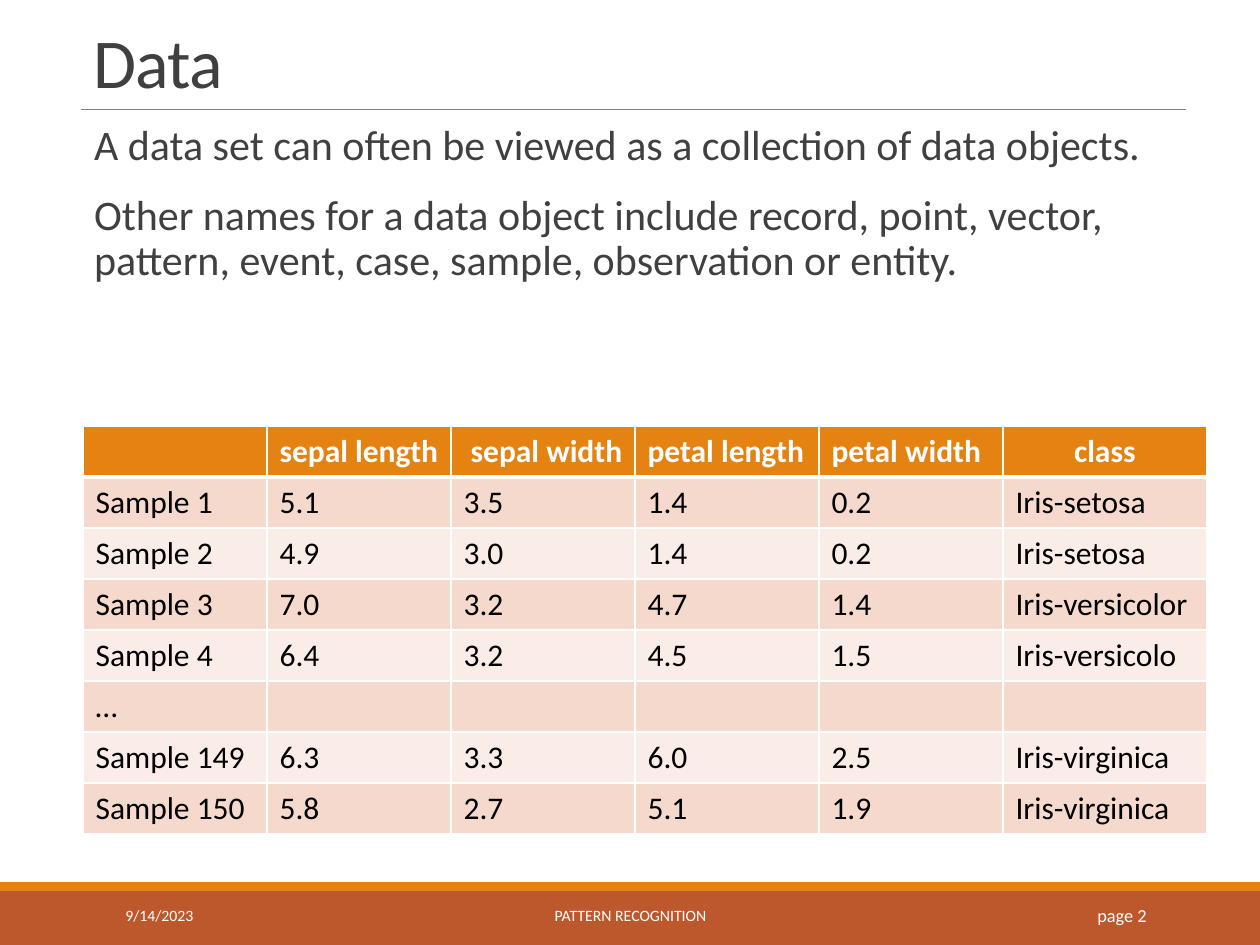
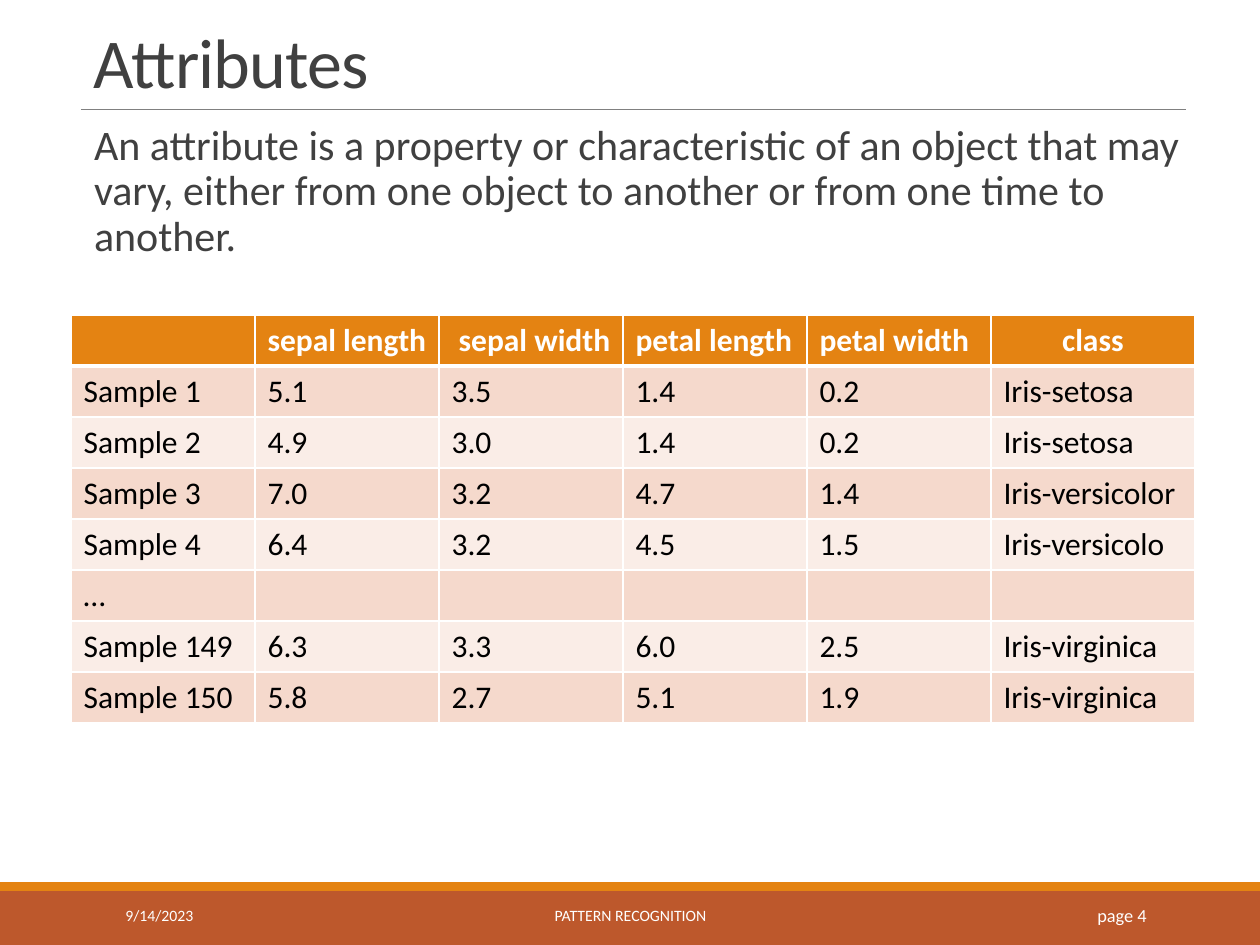
from lxml import etree
from pptx import Presentation
from pptx.dml.color import RGBColor
from pptx.enum.shapes import MSO_CONNECTOR, MSO_SHAPE
from pptx.enum.text import MSO_ANCHOR, PP_ALIGN
from pptx.oxml.ns import qn
from pptx.util import Emu, Pt

LEFT, CENTER, RIGHT = PP_ALIGN.LEFT, PP_ALIGN.CENTER, PP_ALIGN.RIGHT
TOP, MIDDLE, BOTTOM = MSO_ANCHOR.TOP, MSO_ANCHOR.MIDDLE, MSO_ANCHOR.BOTTOM
RECTANGLE, STRAIGHT = MSO_SHAPE.RECTANGLE, MSO_CONNECTOR.STRAIGHT

FONT = "Calibri"
COLORS = {
    "white": "FFFFFF",
    "black": "000000",
    "text": "404040",
    "rule": "808080",
    "orange": "E48312",
    "rust": "BD582C",
    "band_dark": "F5D9CC",
    "band_light": "FAEDE7",
}

IRIS_HEADER = ["", "sepal length", " sepal width", "petal length", "petal width", "class"]
IRIS_SAMPLES = [
    ["Sample 1", "5.1", "3.5", "1.4", "0.2", "Iris-setosa"],
    ["Sample 2", "4.9", "3.0", "1.4", "0.2", "Iris-setosa"],
    ["Sample 3", "7.0", "3.2", "4.7", "1.4", "Iris-versicolor"],
    ["Sample 4", "6.4", "3.2", "4.5", "1.5", "Iris-versicolo"],
    ["…", "", "", "", "", ""],
    ["Sample 149", "6.3", "3.3", "6.0", "2.5", "Iris-virginica"],
    ["Sample 150", "5.8", "2.7", "5.1", "1.9", "Iris-virginica"],
]
SLIDES = [
    {
        "title": "Data",
        "body": [
            "A data set can often be viewed as a collection of data objects.",
            "Other names for a data object include record, point, vector, "
            "pattern, event, case, sample, observation or entity.",
        ],
        "table_at": (83, 426),
        "page": "page 2",
    },
    {
        "title": "Attributes",
        "body": [
            "An attribute is a property or characteristic of an object that may "
            "vary, either from one object to another or from one time to another.",
        ],
        "table_at": (71, 315),
        "page": "page 4",
    },
]
DATE = "9/14/2023"
COURSE = "PATTERN RECOGNITION"

SLIDE_WIDTH, SLIDE_HEIGHT = 1260, 945
CONTENT_LEFT, CONTENT_WIDTH = 81, 1105
RULE_TOP = 109
STRIPE_TOP, FOOTER_TOP = 882, 890
COLUMN_WIDTHS = [184] * 5 + [204]
ROW_HEIGHT = 51


def px(value):
    return Emu(round(value * 914400 / 126))


def color(name):
    return RGBColor.from_string(COLORS[name])


def add_run(paragraph, text, size, color_name, bold=False):
    run = paragraph.add_run()
    run.text = text
    run.font.name = FONT
    run.font.size = Pt(size)
    run.font.bold = bold
    run.font.color.rgb = color(color_name)
    return run


def add_text(slide, box, texts, size, color_name, align=LEFT, anchor=MIDDLE, line_spacing=1):
    frame = slide.shapes.add_textbox(*map(px, box)).text_frame
    frame.word_wrap = True
    frame.vertical_anchor = anchor
    for index, text in enumerate(texts):
        paragraph = frame.add_paragraph() if index else frame.paragraphs[0]
        paragraph.alignment = align
        paragraph.line_spacing = line_spacing
        if index:
            paragraph.space_before = Pt(14)
        add_run(paragraph, text, size, color_name)
    return frame


def add_band(slide, top, height, color_name):
    band = slide.shapes.add_shape(RECTANGLE, 0, px(top), px(SLIDE_WIDTH), px(height))
    band.shadow.inherit = False
    band.fill.solid()
    band.fill.fore_color.rgb = color(color_name)
    band.line.fill.background()


def add_frame(slide, title, page):
    rule = slide.shapes.add_connector(
        STRAIGHT, px(CONTENT_LEFT), px(RULE_TOP), px(CONTENT_LEFT + CONTENT_WIDTH), px(RULE_TOP))
    rule.line.color.rgb = color("rule")
    rule.line.width = Pt(0.5)
    etree.SubElement(rule._element.spPr, qn("a:effectLst"))

    add_band(slide, FOOTER_TOP, SLIDE_HEIGHT - FOOTER_TOP, "rust")
    add_band(slide, STRIPE_TOP, 9, "orange")

    title_frame = add_text(slide, (CONTENT_LEFT, 16, CONTENT_WIDTH, RULE_TOP - 16), [title],
                           40, "text", anchor=BOTTOM, line_spacing=0.85)
    title_frame.paragraphs[0].runs[0].font._element.set("spc", "-50")

    footers = [(113, 256, DATE, 9, LEFT), (381, 499, COURSE, 9, CENTER), (1023, 136, page, 10.5, RIGHT)]
    for left, width, text, size, align in footers:
        add_text(slide, (left, FOOTER_TOP, width, 50), [text], size, "white", align)


def set_borders(cell, widths):
    properties = cell._tc.get_or_add_tcPr()
    for position, (side, width) in enumerate(widths.items()):
        line = etree.Element(qn(f"a:ln{side}"), w=str(Pt(width)))
        fill = etree.SubElement(line, qn("a:solidFill"))
        etree.SubElement(fill, qn("a:srgbClr"), val=COLORS["white"])
        properties.insert(position, line)


def add_iris_table(slide, left, top):
    rows = [IRIS_HEADER] + IRIS_SAMPLES
    table = slide.shapes.add_table(
        len(rows), len(COLUMN_WIDTHS), px(left), px(top),
        px(sum(COLUMN_WIDTHS)), px(ROW_HEIGHT * len(rows))).table
    table.first_row = table.horz_banding = False
    for column, width in zip(table.columns, COLUMN_WIDTHS):
        column.width = px(width)
    for row_index, values in enumerate(rows):
        table.rows[row_index].height = px(ROW_HEIGHT)
        is_header = row_index == 0
        band = "orange" if is_header else "band_dark" if row_index % 2 else "band_light"
        borders = {"L": 1, "R": 1, "T": 3 if row_index == 1 else 1, "B": 3 if is_header else 1}
        for column_index, text in enumerate(values):
            cell = table.cell(row_index, column_index)
            cell.fill.solid()
            cell.fill.fore_color.rgb = color(band)
            set_borders(cell, borders)
            if text:
                add_run(cell.text_frame.paragraphs[0], text, 18,
                        "white" if is_header else "black", is_header)
    class_header = table.cell(0, len(COLUMN_WIDTHS) - 1)
    class_header.vertical_anchor = MIDDLE
    class_header.text_frame.paragraphs[0].alignment = CENTER


def main():
    presentation = Presentation()
    presentation.slide_width, presentation.slide_height = px(SLIDE_WIDTH), px(SLIDE_HEIGHT)
    for content in SLIDES:
        slide = presentation.slides.add_slide(presentation.slide_layouts[6])
        add_frame(slide, content["title"], content["page"])
        body = add_text(slide, (CONTENT_LEFT, 118, CONTENT_WIDTH, 750), content["body"],
                        24, "text", anchor=TOP, line_spacing=0.9)
        body.margin_left, body.margin_right = px(13), 0
        add_iris_table(slide, *content["table_at"])
    presentation.save("out.pptx")


if __name__ == "__main__":
    main()
